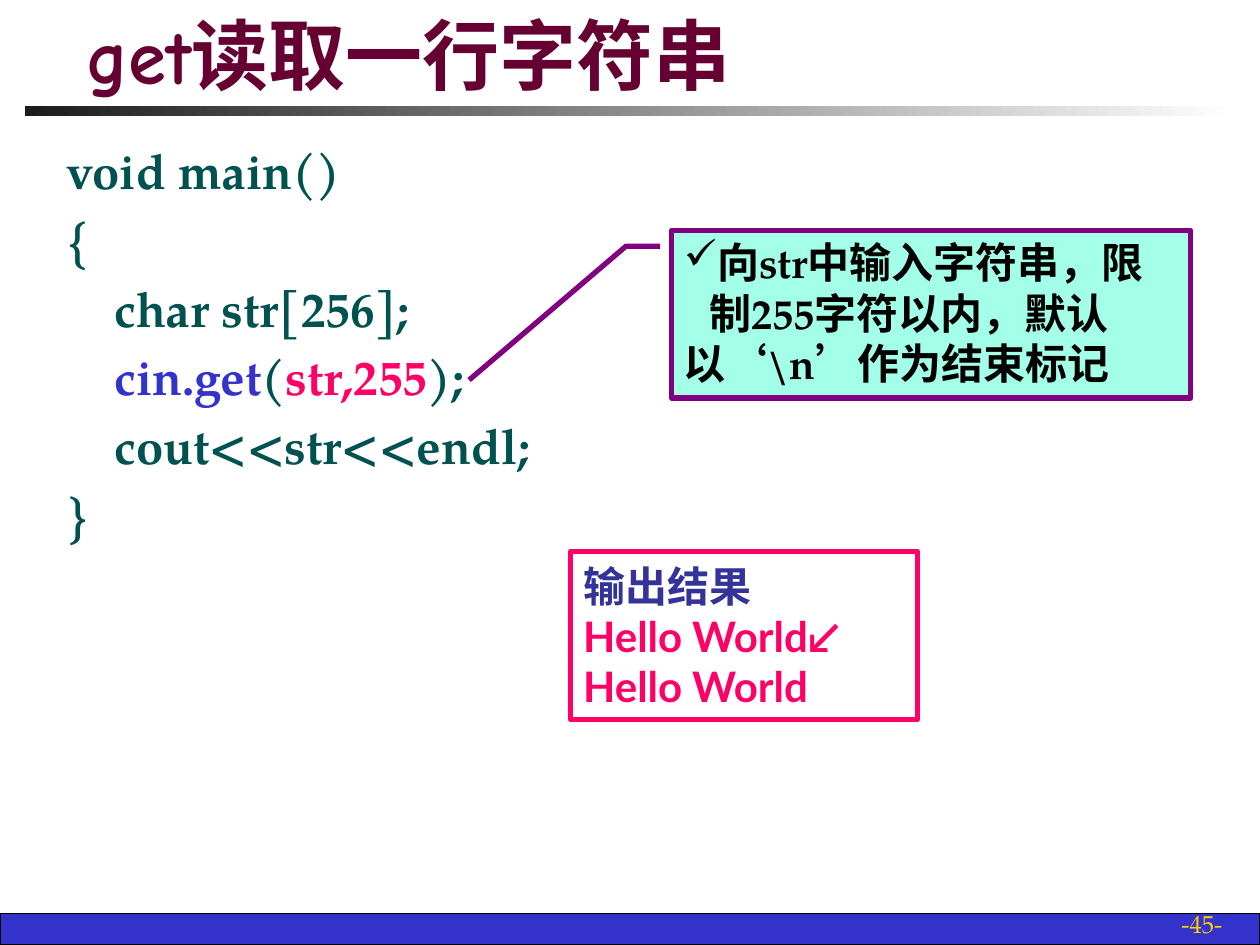
from dataclasses import dataclass

from lxml import etree
from pptx import Presentation
from pptx.dml.color import RGBColor
from pptx.enum.shapes import MSO_SHAPE
from pptx.enum.text import MSO_ANCHOR, PP_ALIGN
from pptx.oxml.ns import qn
from pptx.util import Inches, Pt

RECT, CALLOUT = MSO_SHAPE.RECTANGLE, MSO_SHAPE.LINE_CALLOUT_2
TOP, MIDDLE, BOTTOM = MSO_ANCHOR.TOP, MSO_ANCHOR.MIDDLE, MSO_ANCHOR.BOTTOM
LEFT, RIGHT = PP_ALIGN.LEFT, PP_ALIGN.RIGHT
WIDE, HIGH = 10, 7.5


@dataclass(frozen=True)
class Theme:
    head: str = "Comic Neue"
    body: str = "TeX Gyre Pagella"
    plain: str = "Lato"
    title_size: int = 44
    code_size: int = 28
    note_size: int = 24
    page_size: int = 14
    wine: str = "660033"
    green: str = "005250"
    blue: str = "3333CC"
    pink: str = "FF0066"
    navy: str = "333399"
    gold: str = "FFCF01"
    mint: str = "A3FFE7"
    purple: str = "800080"
    black: str = "000000"
    coal: str = "1C1C1C"
    white: str = "FFFFFF"


T = Theme()


def rgb(code):
    return RGBColor.from_string(code)


def add_box(slide, box, kind=RECT, fill=None, line=None, width=0.75):
    shape = slide.shapes.add_shape(kind, *map(Inches, box))
    shape.shadow.inherit = False
    if fill:
        shape.fill.solid()
        shape.fill.fore_color.rgb = rgb(fill)
    else:
        shape.fill.background()
    if line:
        shape.line.color.rgb = rgb(line)
        shape.line.width = Pt(width)
    else:
        shape.line.fill.background()
    return shape


def add_area(slide, box):
    return slide.shapes.add_textbox(*map(Inches, box))


def write(shape, lines, font, size, color, bold=True, align=LEFT,
          anchor=TOP, before=0, margin=0, indent=0):
    """Fill a shape with lines, each a list of (text, colour or None) runs."""
    frame = shape.text_frame
    frame.word_wrap = True
    frame.vertical_anchor = anchor
    for i, line in enumerate(lines):
        para = frame.add_paragraph() if i else frame.paragraphs[0]
        para.alignment = align
        para.space_before = Pt(before)
        set_indent(para, margin, indent)
        for text, tint in line:
            run = para.add_run()
            run.text = text
            run.font.name, run.font.size = font, Pt(size)
            run.font.bold = bold
            run.font.color.rgb = rgb(tint or color)
    return frame.paragraphs


def set_indent(para, margin, indent):
    props = para._p.get_or_add_pPr()
    props.set("marL", str(Inches(margin)))
    props.set("indent", str(Inches(indent)))


def set_bullet(para, mark):
    props = para._p.get_or_add_pPr()
    etree.SubElement(props, qn("a:buChar")).set("char", mark)


def draw_header(slide, box, text):
    x, y, w, h = box
    bar = add_box(slide, (x, y + h * 0.9, w, h * 0.1))
    bar.fill.gradient()
    bar.fill.gradient_angle = 0
    for stop, color in zip(bar.fill.gradient_stops, (T.coal, T.white)):
        stop.color.rgb = rgb(color)
    area = add_area(slide, (x + w * 0.04, y, w * 0.91, h * 0.9))
    write(area, [[(text, None)]], T.head, T.title_size, T.wine, anchor=BOTTOM)


def draw_footer(slide, box, text):
    x, y, w, h = box
    add_box(slide, box, fill=T.blue, line=T.black)
    area = add_area(slide, (x + w * 0.77, y - 0.08, w * 0.21, h + 0.08))
    write(area, [[(text, None)]], T.body, T.page_size, T.gold,
          bold=False, align=RIGHT, anchor=BOTTOM)


def draw_code(slide, box, lines):
    write(add_area(slide, box), lines, T.body, T.code_size, T.green,
          before=T.code_size * 0.2, margin=0.38, indent=-0.38)


def draw_note(slide, box, lead, rest):
    """Callout whose bent line points back to the code."""
    note = add_box(slide, box, CALLOUT, T.mint, T.purple, 3)
    for i, share in enumerate((0.094, -0.022, 0.094, -0.088, 0.892, -0.39)):
        note.adjustments[i] = share
    first, last = write(note, [[(lead, None)], [(rest, None)]],
                        T.body, T.note_size, T.black)
    set_bullet(first, "✓")
    set_indent(last, 0, 0.2)


def draw_output(slide, box, head, lines):
    panel = add_box(slide, box, line=T.pink, width=3)
    write(panel, [[(head, T.navy)]] + [[(line, None)] for line in lines],
          T.plain, T.note_size, T.pink, anchor=MIDDLE)


def main():
    deck = Presentation()
    deck.slide_width, deck.slide_height = Inches(WIDE), Inches(HIGH)
    slide = deck.slides.add_slide(deck.slide_layouts[6])
    code = [
        [("void main()", None)],
        [("{", None)],
        [("\tchar str[256];", None)],
        [("\t", None), ("cin.get", T.blue), ("(", None),
         ("str,255", T.pink), (");", None)],
        [("\tcout<<str<<endl;", None)],
        [("}", None)],
    ]
    draw_footer(slide, (0, HIGH - 0.25, WIDE, 0.25), "-45-")
    draw_header(slide, (0.2, 0.13, 9.61, 0.79), "get读取一行字符串")
    draw_code(slide, (0.43, 1.07, 9.14, 5.67), code)
    draw_note(slide, (5.33, 1.83, 4.12, 1.33), "向str中输入字符串，限",
              "制255字符以内，默认以‘\\n’作为结束标记")
    draw_output(slide, (4.53, 4.38, 2.75, 1.33), "输出结果",
                ["Hello World↙", "Hello World"])
    deck.save("out.pptx")


if __name__ == "__main__":
    main()
